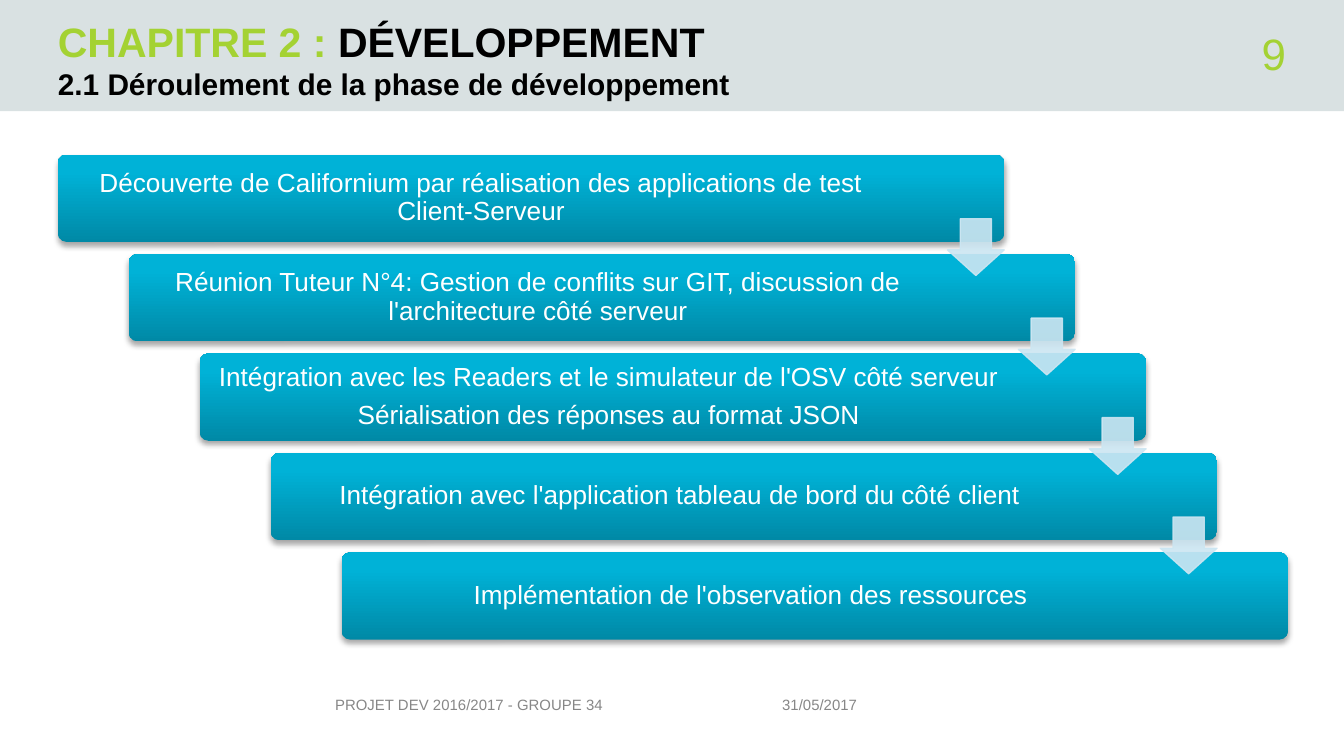
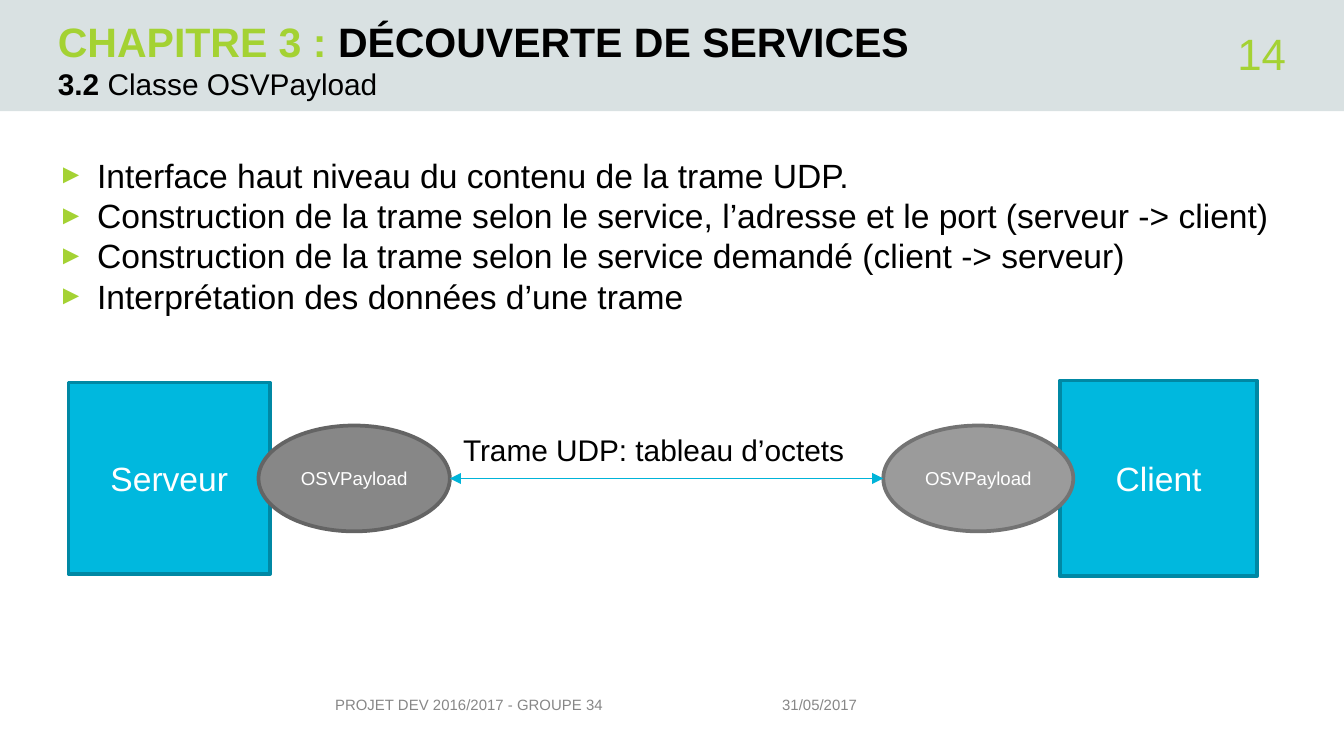
"""Build two project slides: a development staircase and a client-server exchange."""
from dataclasses import dataclass, field
from typing import Any

from lxml import etree
from pptx import Presentation
from pptx.dml.color import RGBColor
from pptx.enum.shapes import MSO_CONNECTOR, MSO_SHAPE
from pptx.enum.text import MSO_ANCHOR, MSO_AUTO_SIZE, PP_ALIGN
from pptx.oxml.ns import qn
from pptx.util import Pt

RECTANGLE, ROUNDED = MSO_SHAPE.RECTANGLE, MSO_SHAPE.ROUNDED_RECTANGLE
OVAL, DOWN_ARROW = MSO_SHAPE.OVAL, MSO_SHAPE.DOWN_ARROW
STRAIGHT = MSO_CONNECTOR.STRAIGHT
TOP, MIDDLE, BOTTOM = MSO_ANCHOR.TOP, MSO_ANCHOR.MIDDLE, MSO_ANCHOR.BOTTOM
LEFT, CENTER, RIGHT = PP_ALIGN.LEFT, PP_ALIGN.CENTER, PP_ALIGN.RIGHT
FIT_SHAPE = MSO_AUTO_SIZE.SHAPE_TO_FIT_TEXT


@dataclass(frozen=True)
class Theme:
    """Colours, type sizes and font shared by the slides."""

    font: str = "Arial"
    black: str = "000000"
    white: str = "FFFFFF"
    green: str = "A4D233"
    band: str = "D9E1E2"
    muted: str = "878787"
    block: str = "00B8DE"
    block_edge: str = "0088A4"
    link: str = "00B4D9"
    arrow: str = "CCE6F2"
    gradient: tuple[tuple[int, str], ...] = ((0, "0089A6"), (80, "00B2D7"), (100, "00B3D8"))
    number_size: float = 23.5
    title_size: float = 22
    body_size: float = 18
    subtitle_size: float = 16
    step_size: float = 14
    small_size: float = 10
    footer_size: float = 8


THEME = Theme()


@dataclass(frozen=True)
class Box:
    """A rectangle in points."""

    left: float
    top: float
    width: float
    height: float

    def lengths(self) -> list[Pt]:
        """Return the four lengths for python-pptx."""
        return [Pt(value) for value in (self.left, self.top, self.width, self.height)]


@dataclass(frozen=True)
class Run:
    """A stretch of text with one look."""

    text: str
    size: float
    color: str = THEME.black
    bold: bool = False


@dataclass(frozen=True)
class TextStyle:
    """Frame and paragraph settings for a text."""

    anchor: Any = TOP
    align: Any = LEFT
    inset: tuple[float, float] = (0, 0)
    paragraph: dict[str, Any] = field(default_factory=dict)
    bullet: str = ""


@dataclass(frozen=True)
class Heading:
    """The changing parts of a slide's header."""

    chapter: str
    title: str
    subtitle: tuple[Run, ...]
    number: int


@dataclass(frozen=True)
class Node:
    """A labelled shape of the exchange diagram."""

    kind: Any
    box: Box
    label: str
    size: float
    fill: str
    edge: str


STEP_STYLE = TextStyle(MIDDLE, CENTER, (4.2, 4.2), {"line_spacing": 0.9, "space_after": Pt(5)})
LABEL_STYLE = TextStyle(MIDDLE, CENTER, (7.2, 3.6))
BULLET_STYLE = TextStyle(paragraph={"level": 3}, bullet="►")

TITLE_BOX = Box(31, 0, 569.5, 35)
SUBTITLE_BOX = Box(31, 35, 569.5, 21.6)
NUMBER_BOX = Box(600.5, 16.5, 88.5, 24)
FOOTERS = (
    ("31/05/2017", Box(419, 359.3, 156, 23)),
    ("PROJET DEV 2016/2017 - GROUPE 34", Box(179.5, 359.3, 209, 23)),
)

STEP_BOX = Box(31, 82.8, 507, 46.8)
STEP_RIGHT, STEP_DOWN = 38, 53.28
FIRST_TEXT_WIDTH, TEXT_WIDTH = 450.7, 435.6
ARROW_SIZE, ARROW_DROP = 30.4, 34.4
STEPS = (
    ("Découverte de Californium par réalisation des applications de test Client-Serveur",),
    ("Réunion Tuteur N°4: Gestion de conflits sur GIT, discussion de l'architecture côté serveur",),
    (
        "Intégration avec les Readers et le simulateur de l'OSV côté serveur",
        "Sérialisation des réponses au format JSON",
    ),
    ("Intégration avec l'application tableau de bord du côté client",),
    ("Implémentation de l'observation des ressources",),
)

POINTS = (
    "Interface haut niveau du contenu de la trame UDP.",
    "Construction de la trame selon le service, l’adresse et le port (serveur -> client)",
    "Construction de la trame selon le service demandé (client -> serveur)",
    "Interprétation des données d’une trame",
)
NODES = (
    Node(RECTANGLE, Box(36.7, 205, 108, 102.5), "Serveur", THEME.body_size, THEME.block, THEME.block_edge),
    Node(RECTANGLE, Box(568, 203.8, 105.4, 105), "Client", THEME.body_size, THEME.block, THEME.block_edge),
    Node(OVAL, Box(138.5, 228, 102.5, 56.7), "OSVPayload", THEME.small_size, "878787", "646464"),
    Node(OVAL, Box(473.2, 228, 101.8, 56.7), "OSVPayload", THEME.small_size, "9B9B9B", "737373"),
)


def set_values(target: Any, values: dict[str, Any]) -> None:
    """Set each named attribute on the target."""
    for name, value in values.items():
        setattr(target, name, value)


def add_element(parent: Any, tag: str, **attributes: Any) -> Any:
    """Append a DrawingML element to a parent."""
    values = {name: str(value) for name, value in attributes.items()}
    return etree.SubElement(parent, qn(f"a:{tag}"), values)


def add_bullet(paragraph: Any, character: str) -> None:
    """Give a paragraph a hanging green bullet."""
    properties = paragraph._p.get_or_add_pPr()
    properties.set("marL", str(Pt(21)))
    properties.set("indent", str(-Pt(21)))
    add_element(add_element(properties, "buClr"), "srgbClr", val=THEME.green)
    add_element(properties, "buSzPct", val=80000)
    add_element(properties, "buFont", typeface=THEME.font)
    add_element(properties, "buChar", char=character)


def write_text(shape: Any, paragraphs: list[tuple[Run, ...]], style: TextStyle) -> None:
    """Fill a shape with styled paragraphs."""
    frame = shape.text_frame
    horizontal, vertical = (Pt(value) for value in style.inset)
    set_values(frame, {
        "word_wrap": True, "vertical_anchor": style.anchor,
        "margin_left": horizontal, "margin_right": horizontal,
        "margin_top": vertical, "margin_bottom": vertical,
    })
    for index, runs in enumerate(paragraphs):
        paragraph = frame.add_paragraph() if index else frame.paragraphs[0]
        set_values(paragraph, {"alignment": style.align, **style.paragraph})
        if style.bullet:
            add_bullet(paragraph, style.bullet)
        for item in runs:
            run = paragraph.add_run()
            run.text = item.text
            set_values(run.font, {"name": THEME.font, "size": Pt(item.size), "bold": item.bold})
            run.font.color.rgb = RGBColor.from_string(item.color)


def add_text(slide: Any, box: Box, paragraphs: list[tuple[Run, ...]], style: TextStyle) -> Any:
    """Add a text box."""
    shape = slide.shapes.add_textbox(*box.lengths())
    write_text(shape, paragraphs, style)
    return shape


def add_shape(slide: Any, kind: Any, box: Box, fill: str = "", edge: str = "", weight: float = 2) -> Any:
    """Add a flat preset shape."""
    shape = slide.shapes.add_shape(kind, *box.lengths())
    shape.shadow.inherit = False
    if fill:
        shape.fill.solid()
        shape.fill.fore_color.rgb = RGBColor.from_string(fill)
    if edge:
        shape.line.color.rgb = RGBColor.from_string(edge)
        shape.line.width = Pt(weight)
    else:
        shape.line.fill.background()
    return shape


def add_bar(slide: Any, box: Box) -> None:
    """Add a rounded bar with a gradient and a soft shadow."""
    bar = add_shape(slide, ROUNDED, box)
    bar.adjustments[0] = 0.1
    bar.fill.gradient()
    bar.fill.gradient_angle = 90
    properties = bar.element.spPr
    stops = properties.find(".//" + qn("a:gsLst"))
    for stop in list(stops):
        stops.remove(stop)
    for position, color in THEME.gradient:
        add_element(add_element(stops, "gs", pos=position * 1000), "srgbClr", val=color)
    shadow = add_element(
        properties.find(qn("a:effectLst")), "outerShdw",
        blurRad=Pt(3.1), dist=Pt(1.8), dir=5400000, rotWithShape=0,
    )
    add_element(add_element(shadow, "srgbClr", val=THEME.black), "alpha", val=35000)


def add_step_arrow(slide: Any, box: Box) -> None:
    """Add a slightly transparent arrow between two steps."""
    arrow = add_shape(slide, DOWN_ARROW, box, THEME.arrow, THEME.arrow, 0.75)
    arrow.adjustments[0], arrow.adjustments[1] = 0.55, 0.45
    for color in arrow.element.spPr.iter(qn("a:srgbClr")):
        add_element(color, "alpha", val=90000)


def add_double_arrow(slide: Any, start: float, end: float, height: float) -> None:
    """Add a horizontal line with a head at each end."""
    connector = slide.shapes.add_connector(STRAIGHT, Pt(start), Pt(height), Pt(end), Pt(height))
    connector.line.color.rgb = RGBColor.from_string(THEME.link)
    connector.line.width = Pt(0.75)
    line = connector.line._get_or_add_ln()
    for tag in ("headEnd", "tailEnd"):
        add_element(line, tag, type="triangle")
    add_element(connector.element.spPr, "effectLst")


def add_base(presentation: Any, heading: Heading) -> Any:
    """Add a slide with its band, header and footers."""
    slide = presentation.slides.add_slide(presentation.slide_layouts[6])
    add_shape(slide, RECTANGLE, Box(0, 0, 720, 59.5), THEME.band)
    title = (
        Run(heading.chapter, THEME.title_size, THEME.green, True),
        Run(heading.title, THEME.title_size, bold=True),
    )
    add_text(slide, TITLE_BOX, [title], TextStyle(BOTTOM))
    add_text(slide, SUBTITLE_BOX, [heading.subtitle], TextStyle())
    number = Run(str(heading.number), THEME.number_size, THEME.green)
    add_text(slide, NUMBER_BOX, [(number,)], TextStyle(MIDDLE, RIGHT))
    for text, box in FOOTERS:
        add_text(slide, box, [(Run(text, THEME.footer_size, THEME.muted),)], TextStyle(BOTTOM))
    return slide


def build_development(presentation: Any) -> None:
    """Draw the staircase of development steps."""
    subtitle = Run("2.1 Déroulement de la phase de développement", THEME.subtitle_size, bold=True)
    slide = add_base(presentation, Heading("CHAPITRE 2 : ", "DÉVELOPPEMENT", (subtitle,), 9))
    arrows = []
    for index, lines in enumerate(STEPS):
        left, top = STEP_BOX.left + index * STEP_RIGHT, STEP_BOX.top + index * STEP_DOWN
        add_bar(slide, Box(left, top, STEP_BOX.width, STEP_BOX.height))
        width = TEXT_WIDTH if index else FIRST_TEXT_WIDTH
        paragraphs = [(Run(line, THEME.step_size, THEME.white),) for line in lines]
        add_text(slide, Box(left + 1.4, top + 1.4, width, STEP_BOX.height - 2.8), paragraphs, STEP_STYLE)
        arrows.append(Box(left + STEP_BOX.width - ARROW_SIZE, top + ARROW_DROP, ARROW_SIZE, ARROW_SIZE))
    for box in arrows[:-1]:
        add_step_arrow(slide, box)


def build_exchange(presentation: Any) -> None:
    """Draw the points and the client-server diagram."""
    subtitle = (Run("3.2", THEME.subtitle_size, bold=True), Run(" Classe OSVPayload", THEME.subtitle_size))
    slide = add_base(presentation, Heading("CHAPITRE 3 : ", "DÉCOUVERTE DE SERVICES", subtitle, 14))
    points = [(Run(point, THEME.body_size),) for point in POINTS]
    add_text(slide, Box(31, 82.8, 658, 260), points, BULLET_STYLE)
    for node in NODES:
        shape = add_shape(slide, node.kind, node.box, node.fill, node.edge)
        write_text(shape, [(Run(node.label, node.size, THEME.white),)], LABEL_STYLE)
    add_double_arrow(slide, 241, 473.2, 256.35)
    caption = Run("Trame UDP: tableau d’octets", THEME.subtitle_size)
    label = add_text(slide, Box(241, 228, 232.5, 26.6), [(caption,)], TextStyle(inset=(7.2, 3.6)))
    label.text_frame.auto_size = FIT_SHAPE


def main() -> None:
    """Build and save the presentation."""
    presentation = Presentation()
    set_values(presentation, {"slide_width": Pt(720), "slide_height": Pt(405)})
    build_development(presentation)
    build_exchange(presentation)
    presentation.save("out.pptx")


if __name__ == "__main__":
    main()
